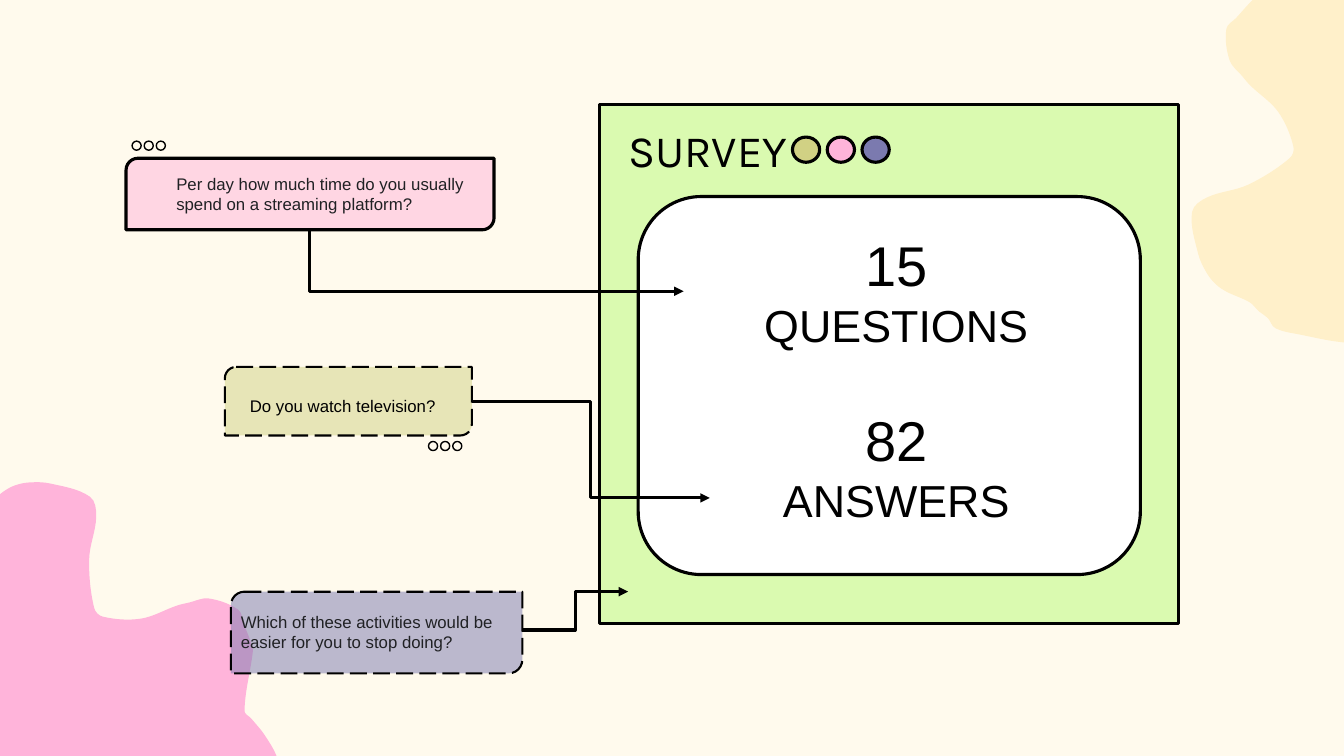
from math import cos, hypot, radians, sin

from pptx import Presentation
from pptx.dml.color import RGBColor
from pptx.enum.dml import MSO_LINE
from pptx.enum.shapes import MSO_CONNECTOR, MSO_SHAPE
from pptx.enum.text import MSO_ANCHOR, MSO_AUTO_SIZE, PP_ALIGN
from pptx.oxml.ns import qn
from pptx.util import Inches, Pt
from lxml.etree import SubElement

COLORS = {"cream": "FFFAED", "olive": "D1D184", "pink": "FFB4DA",
          "violet": "7B7AAF", "sand": "FFF0CA", "green": "DAFAB0",
          "white": "FFFFFF", "black": "000000", "gray": "202124"}

TILT = 10.4
BLOB = [
    (0.29, 4.79), (0.5, 4.8), (0.89, 4.93), (0.95, 5.12), (0.88, 5.54),
    (0.93, 6.03), (1.02, 6.12), (1.4, 6.14), (1.76, 6.01), (1.88, 5.98),
    (2.07, 5.94), (2.36, 6.05), (2.41, 6.18), (2.5, 6.42), (2.5, 6.48),
    (2.42, 7.05), (2.49, 7.13), (2.62, 7.29), (2.75, 7.53),
    (2.75, 7.69), (2.55, 7.94), (2.27, 8.01), (1.52, 8.05),
    (1.11, 7.99), (0.32, 7.81), (-0.23, 7.47), (-0.43, 7.37),
    (-0.79, 7.4), (-0.84, 7.45), (-0.98, 7.48), (-1.22, 7.36),
    (-1.39, 6.77), (-1.32, 6.54), (-1.06, 6.03),
    (-0.96, 5.74), (-0.66, 5.33), (-0.5, 5.15), (-0.38, 5.13),
    (-0.28, 5.08), (-0.16, 5.04), (0.04, 4.88), (0.15, 4.82)]


def rgb(name):
    """Give the named colour."""
    return RGBColor.from_string(COLORS[name])


def paint(shape, fill, line="black", width=2.25, alpha=None, dash=False):
    """Set the fill, outline and shadow of a shape."""
    shape.shadow.inherit = False
    if fill:
        shape.fill.solid()
        shape.fill.fore_color.rgb = rgb(fill)
    else:
        shape.fill.background()
    if alpha:
        tone = shape.fill._xPr.find(".//" + qn("a:srgbClr"))
        SubElement(tone, qn("a:alpha"), val=str(alpha * 1000))
    shape.line.color.rgb = rgb(line)
    shape.line.width = Pt(width)
    if dash:
        shape.line.dash_style = MSO_LINE.LONG_DASH


def add_box(slide, kind, box, fill, **style):
    """Add a painted preset shape."""
    shape = slide.shapes.add_shape(kind, *map(Inches, box))
    paint(shape, fill, **style)


def add_dots(slide, left, top, step, size, fills, width):
    """Add a row of three evenly spaced circles."""
    for i, fill in enumerate(fills):
        add_box(slide, MSO_SHAPE.OVAL, (left + i * step, top, *size), fill,
                width=width)


def curve(shape):
    """Turn the straight sides of a closed freeform into smooth curves."""
    track = shape._element.find(".//" + qn("a:path"))
    knots = [(int(p.get("x")), int(p.get("y")))
             for p in track.iter(qn("a:pt"))]
    count = len(knots)
    for part in list(track)[1:]:
        track.remove(part)

    def lean(i):
        """Give the unit direction at a knot."""
        (ax, ay), (bx, by) = knots[i - 1], knots[(i + 1) % count]
        size = hypot(bx - ax, by - ay)
        return (bx - ax) / size, (by - ay) / size

    for i, (ax, ay) in enumerate(knots):
        j = (i + 1) % count
        bx, by = knots[j]
        reach = hypot(bx - ax, by - ay) / 3
        (ux, uy), (vx, vy) = lean(i), lean(j)
        bend = SubElement(track, qn("a:cubicBezTo"))
        for x, y in ((ax + ux * reach, ay + uy * reach),
                     (bx - vx * reach, by - vy * reach), (bx, by)):
            SubElement(bend, qn("a:pt"), x=str(round(x)), y=str(round(y)))
    SubElement(track, qn("a:close"))


def add_blob(slide, left, top, turn, fill):
    """Add the soft blob, turned about its centre."""
    c, s = cos(radians(TILT)), sin(radians(TILT))
    dots = [(Inches(x * c + y * s), Inches(y * c - x * s)) for x, y in BLOB]
    pen = slide.shapes.build_freeform(*dots[0])
    pen.add_line_segments(dots[1:], close=False)
    shape = pen.convert_to_shape()
    curve(shape)
    shape.left, shape.top = Inches(left), Inches(top)
    shape.width, shape.height = Inches(4.24), Inches(3.03)
    shape.rotation = turn
    paint(shape, fill, line=fill, width=1)


def write(shape, rows, font="Arial", color="black", align=PP_ALIGN.LEFT):
    """Fill a shape with rows of text, size and space before."""
    frame = shape.text_frame
    frame.word_wrap = True
    frame.auto_size = MSO_AUTO_SIZE.SHAPE_TO_FIT_TEXT
    frame.vertical_anchor = MSO_ANCHOR.TOP
    for i, (text, size, gap) in enumerate(rows):
        para = frame.add_paragraph() if i else frame.paragraphs[0]
        para.text = text
        para.alignment = align
        para.space_before = Pt(gap)
        para.font.name = font
        para.font.size = Pt(size)
        para.font.color.rgb = rgb(color)


def add_text(slide, box, rows, **style):
    """Add a text box."""
    write(slide.shapes.add_textbox(*map(Inches, box)), rows, **style)


def add_title(slide, box, text):
    """Place the title above the shapes drawn so far."""
    title = slide.shapes.title
    title.left, title.top, title.width, title.height = map(Inches, box)
    write(title, [(text, 32, 0)], font="Karla")
    slide.shapes._spTree.append(title._element)


def add_arrow(slide, *ends, corner=False):
    """Add an elbow arrow; a corner arrow has one bend and a quarter turn."""
    arrow = slide.shapes.add_connector(MSO_CONNECTOR.ELBOW,
                                       *map(Inches, ends))
    arrow.line.color.rgb = rgb("black")
    arrow.line.width = Pt(2.25)
    props = arrow._element.spPr
    SubElement(props.find(qn("a:ln")), qn("a:tailEnd"), type="triangle")
    SubElement(props, qn("a:effectLst"))
    if corner:
        props.find(qn("a:xfrm")).set("rot", str(270 * 60000))
        props.find(qn("a:prstGeom")).set("prst", "bentConnector2")


def main():
    """Build the survey slide."""
    deck = Presentation()
    deck.slide_width, deck.slide_height = Inches(13.33), Inches(7.5)
    slide = deck.slides.add_slide(deck.slide_layouts[5])
    slide.background.fill.solid()
    slide.background.fill.fore_color.rgb = rgb("cream")

    diag = MSO_SHAPE.ROUND_2_DIAG_RECTANGLE
    add_box(slide, diag, (2.23, 3.64, 2.45, 0.68), "olive", width=1.5,
            alpha=51, dash=True)
    add_box(slide, diag, (1.25, 1.57, 3.65, 0.71), "pink", alpha=51)
    add_blob(slide, -1.29, 4.89, TILT, "pink")
    add_blob(slide, 11.05, -0.02, 253.7, "sand")
    add_text(slide, (1.65, 1.67, 3.35, 0.5),
             [("Per day how much time do you usually spend on a streaming "
               "platform?", 12, 0)], color="gray")

    add_box(slide, MSO_SHAPE.RECTANGLE, (5.95, 1.04, 5.74, 5.15), "green")
    add_title(slide, (6.13, 1.17, 3.11, 0.64), "SURVEY")
    add_box(slide, MSO_SHAPE.ROUNDED_RECTANGLE, (6.33, 1.95, 4.98, 3.75),
            "white")
    add_dots(slide, 7.86, 1.36, 0.345, (0.27, 0.25),
             ("olive", "pink", "violet"), 2.25)
    add_text(slide, (6.53, 2.24, 4.72, 3.74),
             [("15", 40, 0), ("QUESTIONS", 32, 0),
              ("82", 40, 38.5), ("ANSWERS", 32, 0)], align=PP_ALIGN.CENTER)

    add_arrow(slide, 5.23, 0.73, 4.62, 4.44, corner=True)
    add_text(slide, (2.38, 3.88, 2.25, 0.3),
             [("Do you watch television?", 12, 0)])
    add_arrow(slide, 4.68, 3.98, 7.04, 4.94)
    for left, top in ((1.31, 1.4), (4.25, 4.38)):
        add_dots(slide, left, top, 0.12, (0.09, 0.09), (None,) * 3, 1)

    add_box(slide, diag, (2.29, 5.87, 2.89, 0.81), "violet", width=1.5,
            alpha=51, dash=True)
    add_text(slide, (2.29, 6.02, 3.03, 0.5),
             [("Which of these activities would be easier for you to stop "
               "doing?", 12, 0)], color="gray")
    add_arrow(slide, 5.18, 6.25, 6.23, 5.87)
    deck.save("out.pptx")


if __name__ == "__main__":
    main()
